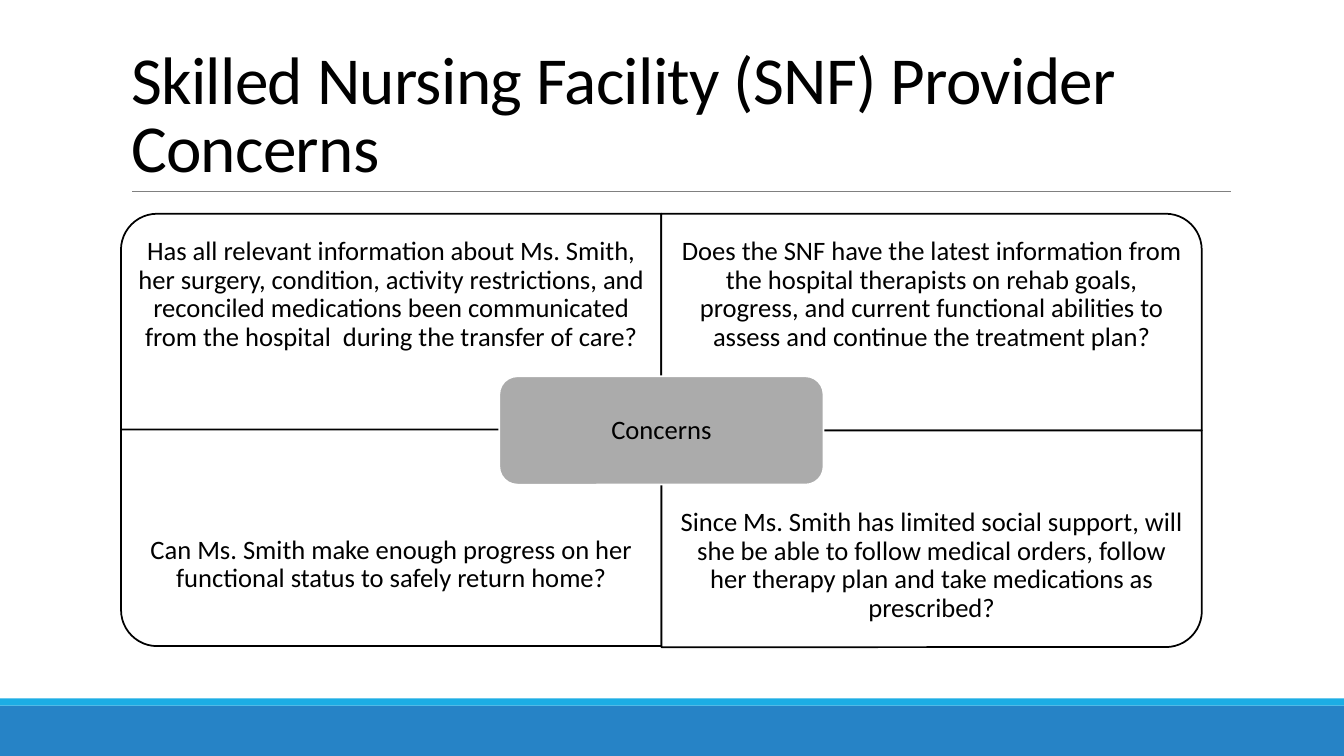
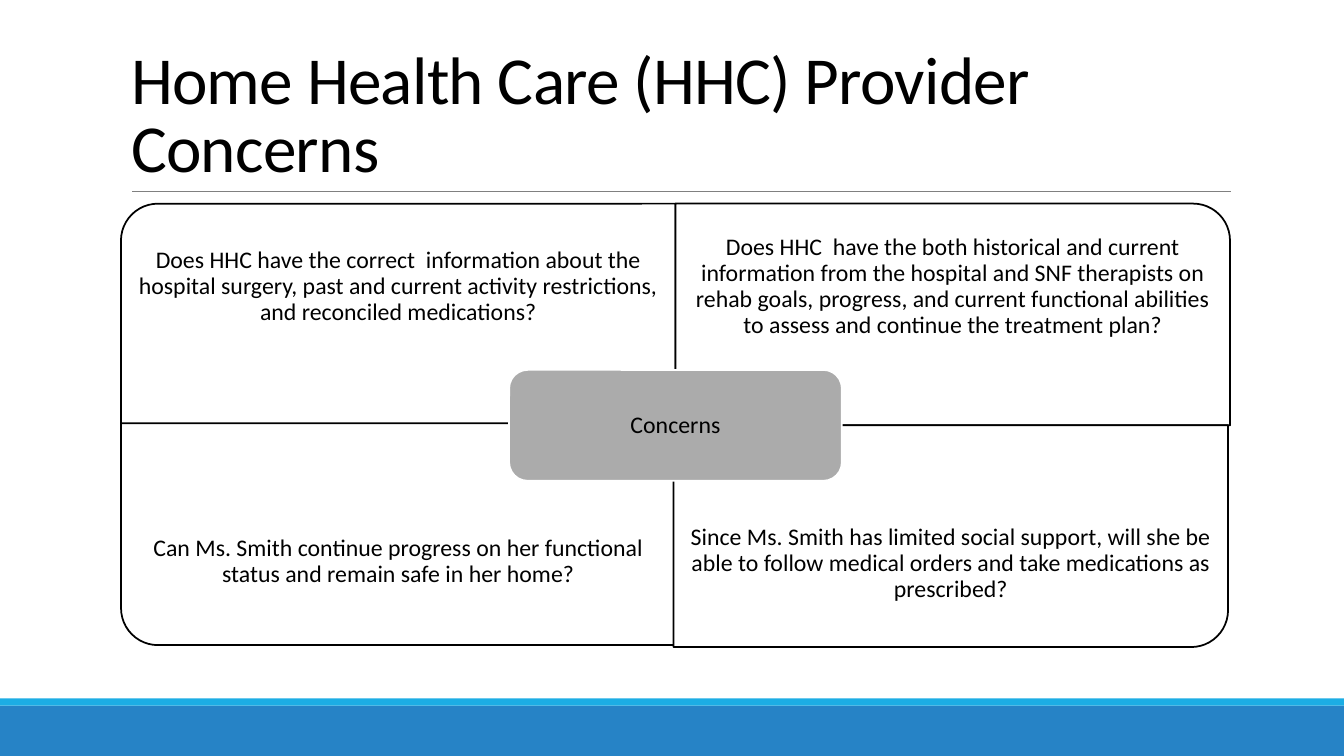
from lxml import etree
from pptx import Presentation
from pptx.dml.color import RGBColor
from pptx.enum.shapes import MSO_CONNECTOR, MSO_SHAPE
from pptx.enum.text import MSO_ANCHOR, MSO_AUTO_SIZE, PP_ALIGN
from pptx.oxml.ns import qn
from pptx.util import Inches, Pt

RECT, ROUND = MSO_SHAPE.RECTANGLE, MSO_SHAPE.ROUNDED_RECTANGLE
ONE_CORNER = MSO_SHAPE.ROUND_1_RECTANGLE
STRAIGHT = MSO_CONNECTOR.STRAIGHT
LEFT, CENTER = PP_ALIGN.LEFT, PP_ALIGN.CENTER
MIDDLE, BOTTOM = MSO_ANCHOR.MIDDLE, MSO_ANCHOR.BOTTOM
NO_FIT = MSO_AUTO_SIZE.NONE

BLACK = RGBColor(0x00, 0x00, 0x00)
WHITE = RGBColor(0xFF, 0xFF, 0xFF)
BLUE = RGBColor(0x26, 0x83, 0xC6)
CYAN = RGBColor(0x1C, 0xAD, 0xE4)
RULE_GRAY = RGBColor(0x80, 0x80, 0x80)
HUB_GRAY = RGBColor(0xAB, 0xAB, 0xAB)
FONT = "Calibri"
SLIDE_W, SLIDE_H = 13.33, 7.5
TITLE_BOX = (1.2, 0.31, 11, 1.59)
QUADRANTS = ((0, 0, 270), (1, 0, 0), (0, 1, 180), (1, 1, 90))

SLIDES = (
    dict(
        title="Skilled Nursing Facility (SNF) Provider Concerns",
        box=(1.2, 2.12, 10.72, 4.3), size=19, inset=0.15,
        nudges=((0, 0), (0, 0), (0, -0.01), (0, 0)),
        concerns=(
            "Has all relevant information about Ms. Smith, her surgery, "
            "condition, activity restrictions, and reconciled medications "
            "been communicated from the hospital  during the transfer of care?",
            "Does the SNF have the latest information from the hospital "
            "therapists on rehab goals, progress, and current functional "
            "abilities to assess and continue the treatment plan?",
            "Can Ms. Smith make enough progress on her functional status to "
            "safely return home?",
            "Since Ms. Smith has limited social support, will she be able to "
            "follow medical orders, follow her therapy plan and take "
            "medications as prescribed?",
        ),
    ),
    dict(
        title="Home Health Care (HHC) Provider Concerns",
        box=(1.2, 2.02, 11, 4.4), size=17, inset=0.13,
        nudges=((0, 0), (0, 0), (0, -0.02), (-0.02, 0)),
        concerns=(
            "Does HHC have the correct  information about the hospital "
            "surgery, past and current activity restrictions, and reconciled "
            "medications?",
            "Does HHC  have the both historical and current information from "
            "the hospital and SNF therapists on rehab goals, progress, and "
            "current functional abilities to assess and continue the "
            "treatment plan?",
            "Can Ms. Smith continue progress on her functional status and "
            "remain safe in her home?",
            "Since Ms. Smith has limited social support, will she be able to "
            "follow medical orders and take medications as prescribed?",
        ),
    ),
)


def inches(*values):
    """Convert numbers to lengths."""
    return [Inches(v) for v in values]


def write(sp, text, size, align=CENTER, anchor=MIDDLE, inset=None,
          line_spacing=0.9, tracking=None):
    """Put formatted text into a shape."""
    tf = sp.text_frame
    tf.word_wrap = True
    tf.auto_size = NO_FIT
    tf.vertical_anchor = anchor
    if inset is not None:
        tf.margin_left = tf.margin_right = Inches(inset)
        tf.margin_top = tf.margin_bottom = Inches(inset)
    p = tf.paragraphs[0]
    p.alignment = align
    p.line_spacing = line_spacing
    r = p.add_run()
    r.text = text
    r.font.name = FONT
    r.font.size = Pt(size)
    r.font.color.rgb = BLACK
    if tracking is not None:
        r.font._element.set("spc", str(int(tracking * 100)))


def add_box(s, kind, box, fill, line=None):
    """Draw a filled preset shape with an optional outline."""
    sp = s.shapes.add_shape(kind, *inches(*box))
    sp.shadow.inherit = False
    sp.fill.solid()
    sp.fill.fore_color.rgb = fill
    if line is None:
        sp.line.fill.background()
    else:
        sp.line.color.rgb = line
        sp.line.width = Pt(1.25)
    return sp


def add_rule(s, x1, x2, y):
    """Draw the thin rule under the title."""
    rule = s.shapes.add_connector(STRAIGHT, *inches(x1, y, x2, y))
    rule.line.color.rgb = RULE_GRAY
    rule.line.width = Pt(0.5)
    etree.SubElement(rule._element.spPr, qn("a:effectLst"))
    return rule


def style_layout(layout, s):
    """Give the layout its title place, bands and rule."""
    title = layout.placeholders[0]
    title.left, title.top, title.width, title.height = inches(*TITLE_BOX)
    x, y, w, h = TITLE_BOX
    parts = (
        add_box(s, RECT, (0, 7, SLIDE_W, 0.5), BLUE),
        add_box(s, RECT, (0, 6.93, SLIDE_W, 0.07), CYAN),
        add_rule(s, x + 0.11, x + w + 0.01, y + h),
    )
    for part in parts:
        layout.shapes._spTree.append(part._element)


def add_quadrant(s, box, rotation, row, text, size, inset):
    """Draw one rounded quadrant with its text in the outer three quarters."""
    x, y, w, h = box
    turned = rotation in (90, 270)
    sw, sh = (h, w) if turned else (w, h)
    outline = (x + (w - sw) / 2, y + (h - sh) / 2, sw, sh)
    sp = add_box(s, ONE_CORNER, outline, WHITE, BLACK)
    sp.rotation = rotation
    label = s.shapes.add_textbox(*inches(x, y + row * h / 4, w, h * 0.75))
    write(label, text, size, inset=inset)


def add_matrix(s, box, concerns, nudges, size, inset):
    """Draw four quadrants around a central hub."""
    x, y, w, h = box
    cw, ch = w / 2, h / 2
    for (col, row, rotation), (dx, dy), text in zip(QUADRANTS, nudges, concerns):
        cell = (x + col * cw + dx, y + row * ch + dy, cw, ch)
        add_quadrant(s, cell, rotation, row, text, size, inset)
    hw, hh = cw * 0.6, ch / 2
    hub = add_box(s, ROUND, (x + cw - hw / 2, y + ch - hh / 2, hw, hh),
                  HUB_GRAY, WHITE)
    write(hub, "Concerns", size, inset=inset)


def add_concern_slide(s, title, box, concerns, nudges, size, inset):
    """Fill a slide with its title and concern matrix."""
    write(s.shapes.title, title, 48, align=LEFT, anchor=BOTTOM,
          line_spacing=0.85, tracking=-0.5)
    add_matrix(s, box, concerns, nudges, size, inset)


def main():
    """Build and save the presentation."""
    prs = Presentation()
    prs.slide_width, prs.slide_height = inches(SLIDE_W, SLIDE_H)
    layout = prs.slide_layouts.get_by_name("Title Only")
    slides = [prs.slides.add_slide(layout) for _ in SLIDES]
    style_layout(layout, slides[0])
    for s, content in zip(slides, SLIDES):
        add_concern_slide(s, **content)
    prs.save("out.pptx")


main()
